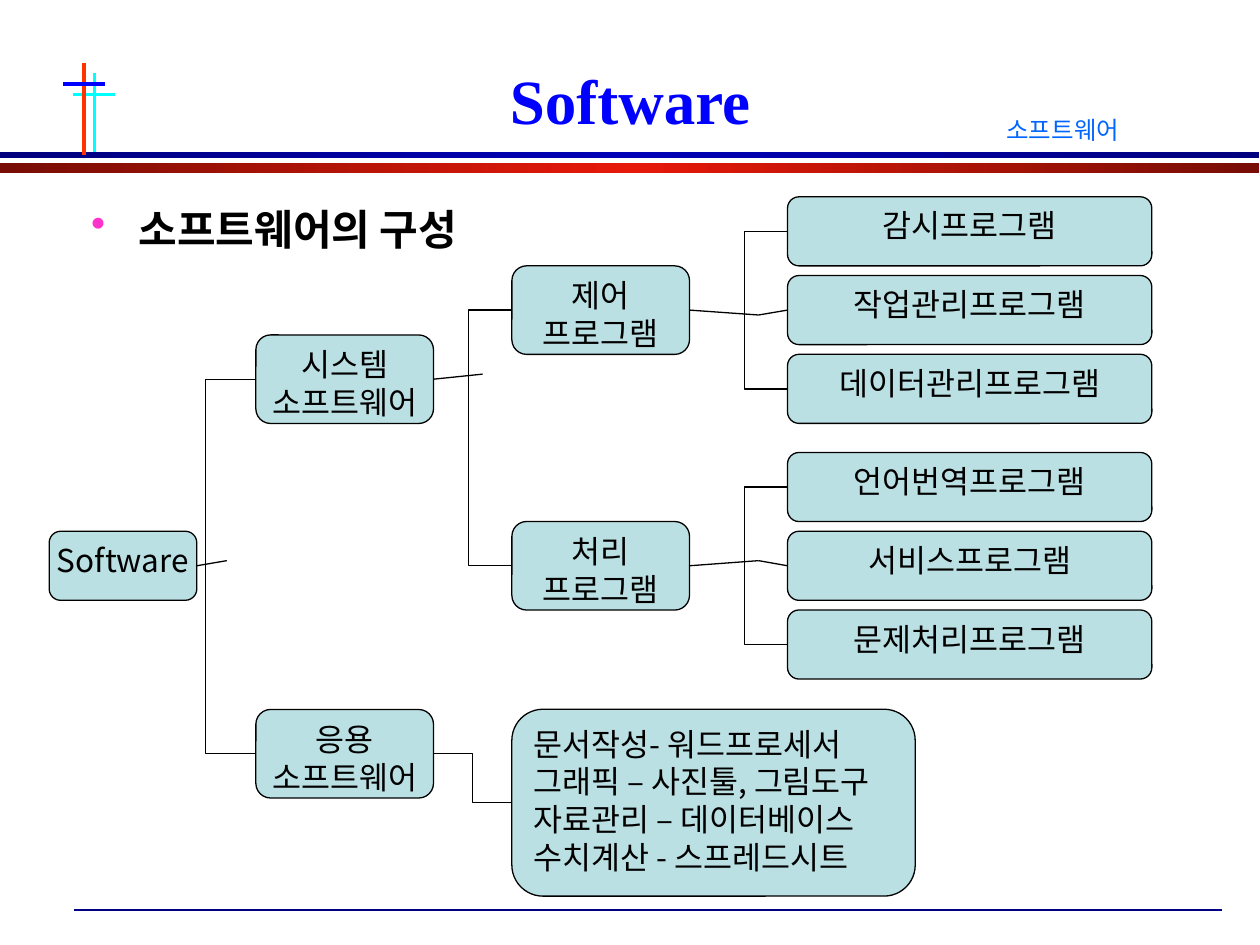
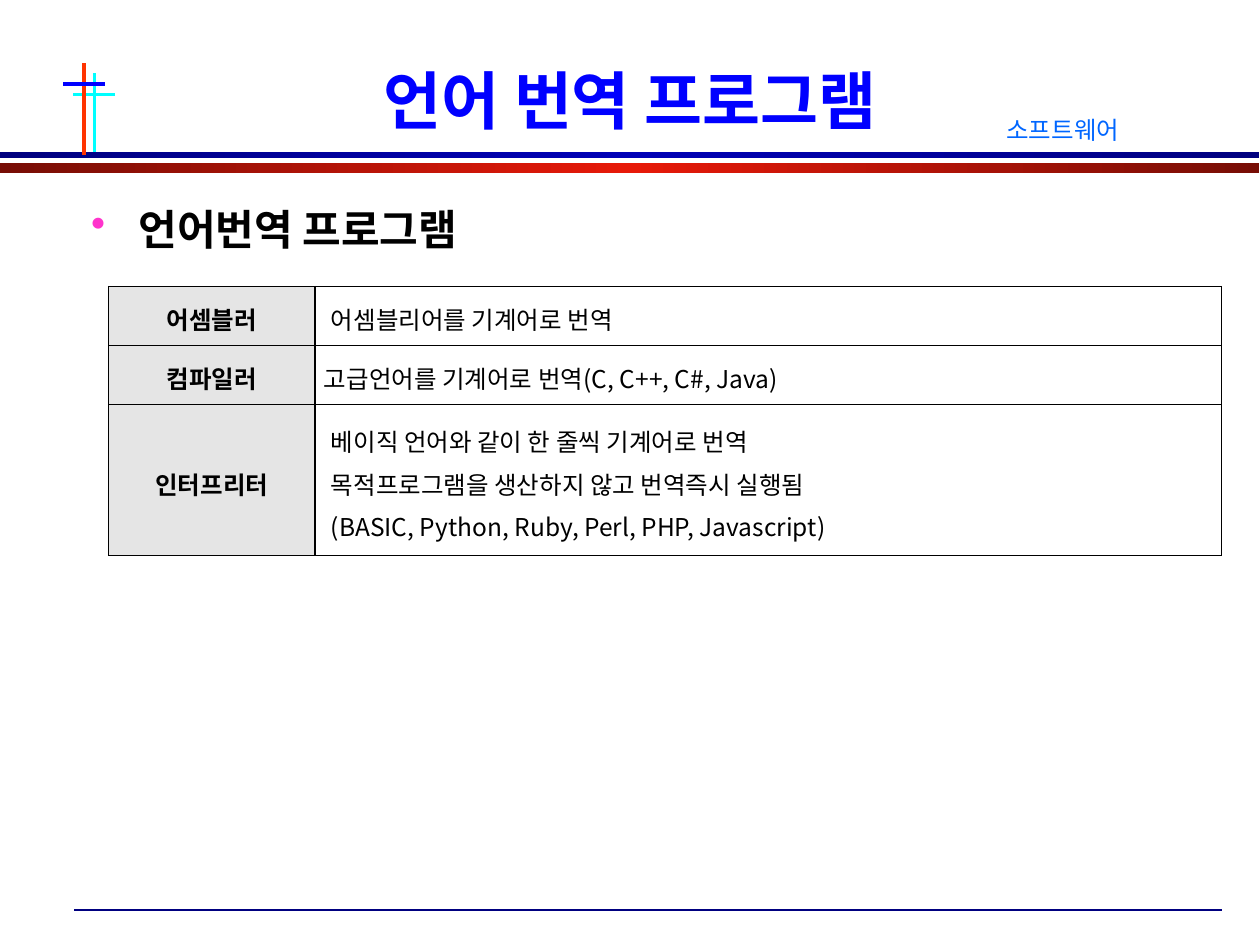
from copy import deepcopy
from pptx import Presentation
from pptx.dml.color import RGBColor
from pptx.enum.shapes import MSO_CONNECTOR, MSO_SHAPE
from pptx.enum.text import MSO_ANCHOR, PP_ALIGN
from pptx.oxml import parse_xml
from pptx.oxml.ns import nsdecls, qn
from pptx.oxml.xmlchemy import OxmlElement
from pptx.util import Pt

BLACK = RGBColor(0, 0, 0)
BLUE = RGBColor(0, 0, 255)
CYAN = RGBColor(0, 255, 255)
NAVY = RGBColor(0, 0, 128)
RED = RGBColor(255, 51, 0)
SKY = RGBColor(0, 102, 255)
PINK = RGBColor(255, 51, 204)
MINT = RGBColor(0xBB, 0xE0, 0xE3)
GREY = RGBColor(0xE5, 0xE5, 0xE5)
DEEP = RGBColor(0, 0, 127)
ROYAL = RGBColor(0, 0, 0xB6)
WINE = RGBColor(0x77, 0x0D, 0x05)
FLAME = RGBColor(0xE7, 0x19, 0x09)

SANS = "Noto Sans CJK KR"
TITLE = dict(name="Times New Roman", size=Pt(36), bold=True)
TAG = dict(name=SANS, size=Pt(14), bold=False)
HEAD = dict(name=SANS, size=Pt(24), bold=True)
NODE = dict(name=SANS, size=Pt(18), bold=False)
KEY = dict(TAG, bold=True)

TOPIC = "소프트웨어"
FOOT = (42.5, 520, 698.5, 520, NAVY, 0.75)
CYANS = [(42, 54, 66, 54, CYAN, 2), (54, 42, 54, 90, CYAN, 1.75)]
MARKS = [(48, 36, 48, 88.5, RED, 1.75), (36, 48, 60, 48, BLUE, 2)]
BANDS = [(87, 3.2, DEEP, ROYAL), (93.2, 5.8, WINE, FLAME)]

COLS = [(28.1, 84.4), (146.2, 101.5), (292.5, 101.5), (450, 208.2)]
TOP, LOW, STEP = 177.2, 323.3, 45
ONE, TWO = 39.5, 50.6
NODES = {
    "root": (0, LOW, ["Software"]),
    "sys": (1, 216.7, ["시스템", "소프트웨어"]),
    "app": (1, 430.7, ["응용", "소프트웨어"]),
    "ctl": (2, TOP, ["제어", "프로그램"]),
    "proc": (2, LOW, ["처리", "프로그램"]),
}
LEAVES = {
    "ctl": (TOP, ["감시프로그램", "작업관리프로그램", "데이터관리프로그램"]),
    "proc": (LOW, ["언어번역프로그램", "서비스프로그램", "문제처리프로그램"]),
}
USES = ["문서작성- 워드프로세서", "그래픽 – 사진툴, 그림도구",
        "자료관리 – 데이터베이스", "수치계산 - 스프레드시트"]
FORKS = [("sys", "app", 28.1), ("ctl", "proc", 24.2),
         ("ctl0", "ctl2", 24.2), ("proc0", "proc2", 24.2)]
STUBS = [("root", 129.6, 320.4, None), ("sys", 275.8, 213.8, None),
         ("ctl", 433.5, 180, "ctl1"), ("proc", 433.5, 320.4, "proc1")]

ROWS = [
    ("어셈블러", 9, ["어셈블리어를 기계어로 번역"]),
    ("컴파일러", 5, ["고급언어를 기계어로 번역(C, C++, C#, Java)"]),
    ("인터프리터", 9, ["베이직 언어와 같이 한 줄씩 기계어로 번역",
                  "목적프로그램을 생산하지 않고 번역즉시 실행됨",
                  "(BASIC, Python, Ruby, Perl, PHP, Javascript)"]),
]
WIDTHS = (118.1, 517.9)
HEIGHTS = (33.8, 33.8, 86.4)


def write(frame, lines, look, color, align=PP_ALIGN.LEFT, space=None):
    for i, line in enumerate(lines):
        para = frame.paragraphs[0] if i == 0 else frame.add_paragraph()
        para.alignment = align
        para.line_spacing = space
        run = para.add_run()
        run.text = line
        for key, val in look.items():
            setattr(run.font, key, val)
        run.font.color.rgb = color
        asian = OxmlElement("a:ea")
        asian.set("typeface", SANS)
        run.font._element.find(qn("a:latin")).addnext(asian)


def label(slide, box, lines, look, color, align=PP_ALIGN.LEFT):
    frame = slide.shapes.add_textbox(*map(Pt, box)).text_frame
    frame.word_wrap = True
    write(frame, lines, look, color, align)
    return frame


def link(slide, x1, y1, x2, y2, color=BLACK, width=0.75,
         kind=MSO_CONNECTOR.STRAIGHT):
    line = slide.shapes.add_connector(kind, *map(Pt, (x1, y1, x2, y2)))
    line.line.color.rgb = color
    line.line.width = Pt(width)
    line._element.spPr.append(OxmlElement("a:effectLst"))
    return line


def band(slide, y, high, edge, core):
    bar = slide.shapes.add_shape(MSO_SHAPE.RECTANGLE, 0, Pt(y), Pt(719.5), Pt(high))
    bar.shadow.inherit = False
    bar.line.fill.background()
    bar.fill.gradient()
    bar.fill.gradient_angle = 0
    stops = bar.fill.gradient_stops
    first = stops[0]._gs
    first.addnext(deepcopy(first))
    for stop, pos, color in zip(bar.fill.gradient_stops, (0, 0.5, 1), (edge, core, edge)):
        stop.position = pos
        stop.color.rgb = color


def page(deck, title, head):
    slide = deck.slides.add_slide(deck.slide_layouts[6])
    for mark in [FOOT] + CYANS:
        link(slide, *mark)
    for item in BANDS:
        band(slide, *item)
    for mark in MARKS:
        link(slide, *mark)
    frame = label(slide, (111, 36, 498, 42), [title], TITLE, BLUE, PP_ALIGN.CENTER)
    frame.vertical_anchor = MSO_ANCHOR.MIDDLE
    label(slide, (568, 62, 146, 24.5), [TOPIC], TAG, SKY)
    frame = label(slide, (45, 112.5, 658, 400), [head], HEAD, BLACK)
    props = frame.paragraphs[0]._p.get_or_add_pPr()
    props.set("marL", str(Pt(27)))
    props.set("indent", str(-Pt(27)))
    props.append(parse_xml(
        f'<a:buClr {nsdecls("a")}><a:srgbClr val="{PINK}"/></a:buClr>'))
    props.append(parse_xml(f'<a:buChar {nsdecls("a")} char="•"/>'))
    return slide


def node(slide, x, mid, wide, high, lines, align=PP_ALIGN.CENTER):
    box = slide.shapes.add_shape(MSO_SHAPE.ROUNDED_RECTANGLE,
                                 *map(Pt, (x, mid - high / 2, wide, high)))
    box.shadow.inherit = False
    box.fill.solid()
    box.fill.fore_color.rgb = MINT
    box.line.color.rgb = BLACK
    box.line.width = Pt(0.75)
    frame = box.text_frame
    frame.word_wrap = False
    frame.vertical_anchor = MSO_ANCHOR.TOP
    write(frame, lines, NODE, BLACK, align)
    return box


def fork(slide, high, low, reach):
    thin = 0.25
    x = high.left.pt
    y1, y2 = [(b.top + b.height / 2) / Pt(1) for b in (high, low)]
    line = link(slide, x, y1, x - thin, y2, kind=MSO_CONNECTOR.ELBOW)
    geom = line._element.spPr.find(qn("a:prstGeom"))
    guide = OxmlElement("a:gd")
    guide.set("name", "adj1")
    guide.set("fmla", f"val {round(reach / thin * 100000)}")
    geom.get_or_add_avLst().append(guide)


def tree(slide):
    boxes = {}
    for name, (col, mid, lines) in NODES.items():
        x, wide = COLS[col]
        boxes[name] = node(slide, x, mid, wide, ONE if len(lines) == 1 else TWO, lines)
    x, wide = COLS[3]
    for name, (mid, texts) in LEAVES.items():
        for i, text in enumerate(texts):
            boxes[f"{name}{i}"] = node(slide, x, mid + (i - 1) * STEP, wide, ONE, [text])
    uses = node(slide, COLS[2][0], 458.7, 230.5, 106.8, USES, PP_ALIGN.LEFT)
    for high, low, reach in FORKS:
        fork(slide, boxes[high], boxes[low], reach)
    bend = link(slide, 0, 0, 1, 1, kind=MSO_CONNECTOR.ELBOW)
    bend.begin_connect(boxes["app"], 3)
    bend.end_connect(uses, 1)
    for start, x, y, end in STUBS:
        link(slide, x, y, x, y).begin_connect(boxes[start], 3)
        if end:
            link(slide, x, y, x, y).end_connect(boxes[end], 1)


def edge(cell, sides):
    props = cell._tc.get_or_add_tcPr()
    for i, (side, width) in enumerate(sides.items()):
        props.insert(i, parse_xml(
            f'<a:ln{side} {nsdecls("a")} w="{Pt(width)}"><a:solidFill>'
            f'<a:srgbClr val="{BLACK}"/></a:solidFill></a:ln{side}>'))


def grid(slide):
    table = slide.shapes.add_table(len(ROWS), 2, Pt(62), Pt(163.4),
                                   Pt(sum(WIDTHS)), Pt(sum(HEIGHTS))).table
    table.first_row = table.horz_banding = False
    for col, wide in zip(table.columns, WIDTHS):
        col.width = Pt(wide)
    for row, high, (name, inset, lines) in zip(table.rows, HEIGHTS, ROWS):
        row.height = Pt(high)
        key, note = row.cells
        for cell, left in ((key, 1.4), (note, inset)):
            cell.margin_left, cell.margin_right = Pt(left), Pt(1.4)
            cell.vertical_anchor = MSO_ANCHOR.MIDDLE
        key.fill.solid()
        key.fill.fore_color.rgb = GREY
        note.fill.background()
        write(key.text_frame, [name], KEY, BLACK, PP_ALIGN.CENTER, 1.2)
        write(note.text_frame, lines, TAG, BLACK, PP_ALIGN.JUSTIFY, 1.2)
        edge(key, dict(L=0.11, R=0.96, T=0.11, B=0.11))
        edge(note, dict(L=0.96, R=0.11, T=0.11, B=0.11))


def main():
    deck = Presentation()
    deck.slide_width, deck.slide_height = Pt(720), Pt(540)
    tree(page(deck, "Software", "소프트웨어의 구성"))
    grid(page(deck, "언어 번역 프로그램", "언어번역 프로그램"))
    deck.save("out.pptx")


if __name__ == "__main__":
    main()
